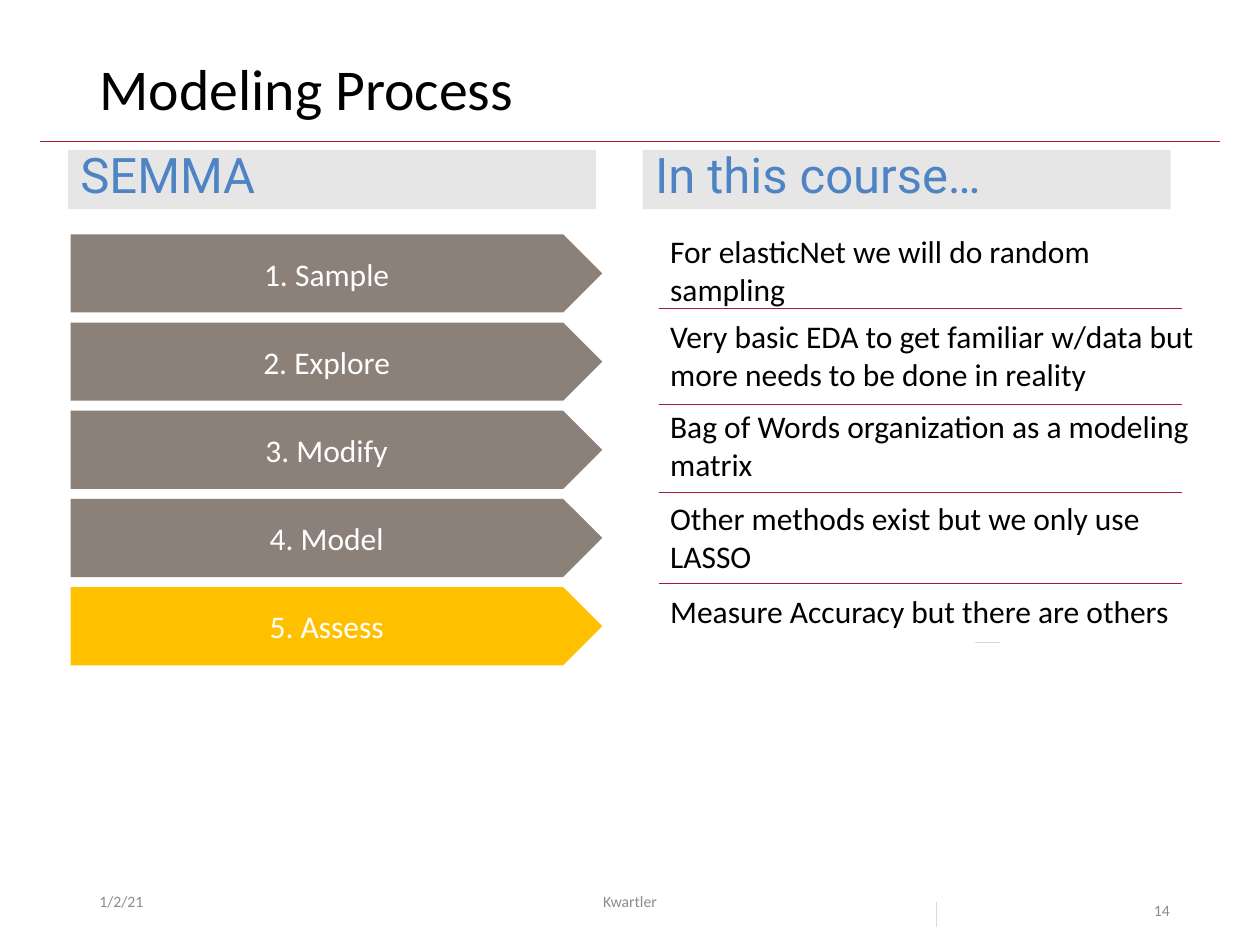
from typing import NamedTuple

from lxml.etree import SubElement
from pptx import Presentation
from pptx.dml.color import RGBColor
from pptx.enum.shapes import MSO_CONNECTOR, MSO_SHAPE
from pptx.enum.text import MSO_ANCHOR, PP_ALIGN
from pptx.oxml.ns import qn
from pptx.util import Inches, Pt

COLORS = {
    "black": "000000", "white": "FFFFFF", "muted": "8C8C8C",
    "step": "8C8179", "current": "FFC000", "band": "E7E6E6",
    "heading": "4E84C4", "crimson": "A51C30", "pale": "D9D9D9",
}


class Step(NamedTuple):
    name: str
    note: str
    note_top: float
    note_width: float
    note_height: float = 0.71
    fill: str = "step"


class Rule(NamedTuple):
    x1: float
    y1: float
    x2: float
    y2: float
    color: str = "crimson"


STEPS = [
    Step("1. Sample", "For elasticNet we will do random sampling", 1.79, 4.18),
    Step("2. Explore", "Very basic EDA to get familiar w/data but more needs "
         "to be done in reality", 2.47, 4.78),
    Step("3. Modify", "Bag of Words organization as a modeling matrix", 3.18, 4.55),
    Step("4. Model", "Other methods exist but we only use LASSO", 3.91, 4.18),
    Step("5. Assess", "Measure Accuracy but there are others", 4.65, 4.18, 0.4,
         "current"),
]
STEP_TOP, STEP_PITCH = 1.86, 0.7
HEADINGS = [("SEMMA", 0.54), ("In this course…", 5.1)]
RULES = [
    Rule(0.32, 1.12, 9.68, 1.12),
    *(Rule(5.23, y, 9.38, y) for y in (2.45, 3.21, 3.91, 4.63)),
    Rule(7.43, 7.16, 7.43, 7.36, "pale"),
    Rule(7.74, 5.1, 7.94, 5.1, "pale"),
]


def rgb(name: str) -> RGBColor:
    return RGBColor.from_string(COLORS[name])


def write(shape, text: str, *, size: float = 18, color: str = "black",
          font: str = "Calibri", align=PP_ALIGN.LEFT, anchor=MSO_ANCHOR.TOP,
          spacing: float = 1.0, before: float = 0) -> None:
    tf = shape.text_frame
    tf.word_wrap = True
    tf.vertical_anchor = anchor
    p = tf.paragraphs[0]
    p.alignment, p.line_spacing, p.space_before = align, spacing, Pt(before)
    r = p.add_run()
    r.text = text
    r.font.name, r.font.size = font, Pt(size)
    r.font.color.rgb = rgb(color)


def add_text(s, box: tuple, text: str, **fmt) -> None:
    write(s.shapes.add_textbox(*map(Inches, box)), text, **fmt)


def add_block(s, kind, box: tuple, fill: str, text: str, **fmt) -> None:
    """Draw a filled, unlined shape with text in it."""
    sp = s.shapes.add_shape(kind, *map(Inches, box))
    sp.shadow.inherit = False
    sp.fill.solid()
    sp.fill.fore_color.rgb = rgb(fill)
    sp.line.fill.background()
    write(sp, text, **fmt)


def add_rule(s, rule: Rule) -> None:
    line = s.shapes.add_connector(MSO_CONNECTOR.STRAIGHT, *map(Inches, rule[:4]))
    line.line.color.rgb = rgb(rule.color)
    line.line.width = Pt(0.5)
    SubElement(line._element.spPr, qn("a:effectLst"))


def add_title(s, text: str) -> None:
    sp = s.shapes.title
    sp.left, sp.top, sp.width, sp.height = map(Inches, (0.69, 0.4, 8.62, 0.65))
    write(sp, text, size=33, anchor=MSO_ANCHOR.MIDDLE, spacing=0.9)


def add_footer(s) -> None:
    small = {"size": 9, "color": "muted"}
    middle = small | {"anchor": MSO_ANCHOR.MIDDLE}
    add_text(s, (0.69, 6.95, 2.25, 0.4), "1/2/21", **middle)
    add_text(s, (3.31, 6.95, 3.38, 0.4), "Kwartler", align=PP_ALIGN.CENTER, **middle)
    add_text(s, (9.06, 6.95, 0.94, 0.4), "14", spacing=2.0, **small)


def main() -> None:
    prs = Presentation()
    prs.slide_width, prs.slide_height = Inches(10), Inches(7.5)
    s = prs.slides.add_slide(prs.slide_layouts[5])
    add_title(s, "Modeling Process")
    for text, left in HEADINGS:
        add_block(s, MSO_SHAPE.RECTANGLE, (left, 1.19, 4.19, 0.47), "band", text,
                  size=28, color="heading", font="Roboto", spacing=0.8, before=7.5)
    for i, step in enumerate(STEPS):
        top = STEP_TOP + i * STEP_PITCH
        add_block(s, MSO_SHAPE.PENTAGON, (0.56, top, 4.22, 0.62), step.fill,
                  step.name, color="white", align=PP_ALIGN.CENTER,
                  anchor=MSO_ANCHOR.MIDDLE)
        add_text(s, (5.22, step.note_top, step.note_width, step.note_height), step.note)
    for rule in RULES:
        add_rule(s, rule)
    add_footer(s)
    prs.save("out.pptx")


if __name__ == "__main__":
    main()
